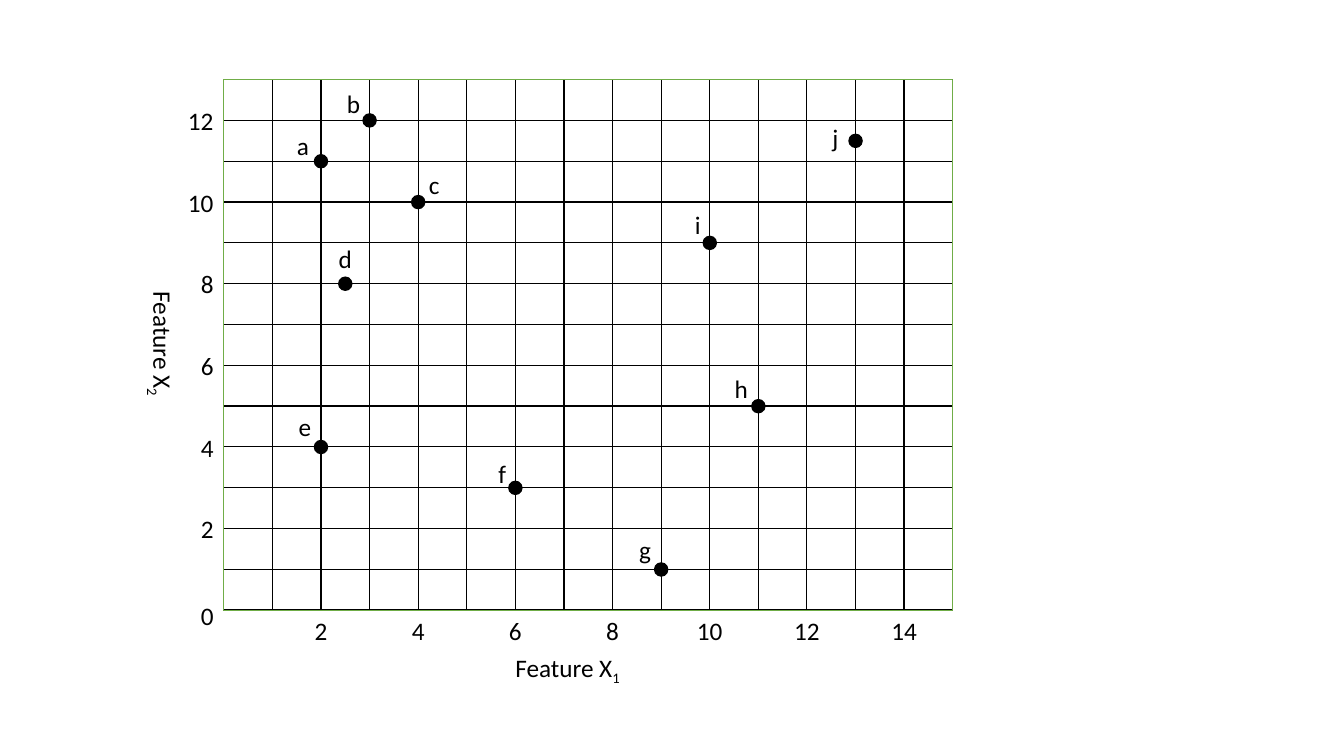
"""Draw a labelled scatter of ten points on a feature grid."""
from lxml import etree
from pptx import Presentation
from pptx.dml.color import RGBColor
from pptx.enum.shapes import MSO_SHAPE
from pptx.enum.text import MSO_AUTO_SIZE, PP_ALIGN
from pptx.oxml.ns import qn
from pptx.util import Inches, Pt

BLACK = RGBColor(0x00, 0x00, 0x00)
GREEN = RGBColor(0x70, 0xAD, 0x47)
OVAL = MSO_SHAPE.OVAL
RECTANGLE = MSO_SHAPE.RECTANGLE
CENTER = PP_ALIGN.CENTER
FIT_SHAPE = MSO_AUTO_SIZE.SHAPE_TO_FIT_TEXT

FONT = "Calibri"
GRID_LEFT, GRID_TOP = 2.22, 0.79
COLUMNS, ROWS = 15, 13
CELL_WIDTH, CELL_HEIGHT = 0.482, 0.405
GRID_WIDTH, GRID_HEIGHT = COLUMNS * CELL_WIDTH, ROWS * CELL_HEIGHT
TEXT_HEIGHT = 0.4
DOT_SIZE = 0.13

# name, feature 1, feature 2, label offset right, label offset down
POINTS = [
    ("a", 2, 11, -0.18, -0.16),
    ("b", 3, 12, -0.16, -0.17),
    ("c", 4, 10, 0.16, -0.17),
    ("d", 2.5, 8, 0, -0.25),
    ("e", 2, 4, -0.16, -0.2),
    ("f", 6, 3, -0.13, -0.14),
    ("g", 9, 1, -0.16, -0.2),
    ("h", 11, 5, -0.17, -0.18),
    ("i", 10, 9, -0.12, -0.18),
    ("j", 13, 11.5, -0.2, -0.03),
]


def grid_position(feature_1, feature_2):
    """Return the slide position, in inches, of a pair of feature values."""
    return (GRID_LEFT + feature_1 * CELL_WIDTH,
            GRID_TOP + GRID_HEIGHT - feature_2 * CELL_HEIGHT)


def add_text(slide, text, center_x, center_y, width=0.33, subscript="", rotation=0):
    """Add a centred label around a point, with an optional subscript."""
    box = slide.shapes.add_textbox(
        Inches(center_x - width / 2), Inches(center_y - TEXT_HEIGHT / 2),
        Inches(width), Inches(TEXT_HEIGHT))
    box.rotation = rotation
    frame = box.text_frame
    frame.word_wrap = False
    frame.auto_size = FIT_SHAPE
    paragraph = frame.paragraphs[0]
    paragraph.alignment = CENTER
    for content, baseline in ((text, 0), (subscript, -25000)):
        if content:
            run = paragraph.add_run()
            run.text = content
            run.font.name = FONT
            run.font.size = Pt(18)
            run.font.color.rgb = BLACK
            if baseline:
                run.font._element.set("baseline", str(baseline))


def add_outline(slide, kind, left, top, width, height, color, fill=None):
    """Add a preset shape with a thin line and an optional fill."""
    shape = slide.shapes.add_shape(
        kind, Inches(left), Inches(top), Inches(width), Inches(height))
    shape.shadow.inherit = False
    shape.line.color.rgb = color
    shape.line.width = Pt(1)
    if fill is None:
        shape.fill.background()
    else:
        shape.fill.solid()
        shape.fill.fore_color.rgb = fill


def set_borders(cell):
    """Give a cell black borders of one point on all sides."""
    properties = cell._tc.get_or_add_tcPr()
    for side in ("a:lnL", "a:lnR", "a:lnT", "a:lnB"):
        line = etree.SubElement(properties, qn(side), w=str(Pt(1)))
        fill = etree.SubElement(line, qn("a:solidFill"))
        etree.SubElement(fill, qn("a:srgbClr"), val=str(BLACK))


def add_grid(slide):
    """Add the empty table that forms the grid."""
    table = slide.shapes.add_table(
        ROWS, COLUMNS, Inches(GRID_LEFT), Inches(GRID_TOP),
        Inches(GRID_WIDTH), Inches(GRID_HEIGHT)).table
    table.first_row = False
    table.horz_banding = False
    for column in table.columns:
        column.width = Inches(CELL_WIDTH)
    for row in table.rows:
        row.height = Inches(CELL_HEIGHT)
    for cell in table.iter_cells():
        cell.margin_top = cell.margin_bottom = 0
        set_borders(cell)
        cell.fill.background()


def add_axes(slide):
    """Add the tick values and titles of both axes."""
    for value in range(0, ROWS, 2):
        width = 0.46 if value >= 10 else 0.33
        nudge = 0 if value else 0.05
        y = grid_position(0, value)[1] + nudge
        add_text(slide, str(value), GRID_LEFT - width / 2, y, width)
    for value in range(2, COLUMNS, 2):
        width = 0.46 if value >= 10 else 0.33
        x, bottom = grid_position(value, 0)
        add_text(slide, str(value), x, bottom + TEXT_HEIGHT / 2, width)
    add_text(slide, "Feature X", 5.63, 6.62, 1.26, subscript="1")
    add_text(slide, "Feature X", 1.62, 3.41, 1.26, subscript="2", rotation=90)


def add_point(slide, name, feature_1, feature_2, offset_x, offset_y):
    """Add a dot at its feature values and its name beside it."""
    x, y = grid_position(feature_1, feature_2)
    add_outline(slide, OVAL, x - DOT_SIZE / 2, y - DOT_SIZE / 2,
                DOT_SIZE, DOT_SIZE, BLACK, fill=BLACK)
    add_text(slide, name, x + offset_x, y + offset_y)


def main():
    """Build and save the slide."""
    presentation = Presentation()
    presentation.slide_width = Inches(13.33)
    presentation.slide_height = Inches(7.5)
    slide = presentation.slides.add_slide(presentation.slide_layouts[6])
    add_grid(slide)
    add_axes(slide)
    add_outline(slide, RECTANGLE, GRID_LEFT, GRID_TOP, GRID_WIDTH, GRID_HEIGHT, GREEN)
    for point in POINTS:
        add_point(slide, *point)
    presentation.save("out.pptx")


if __name__ == "__main__":
    main()
